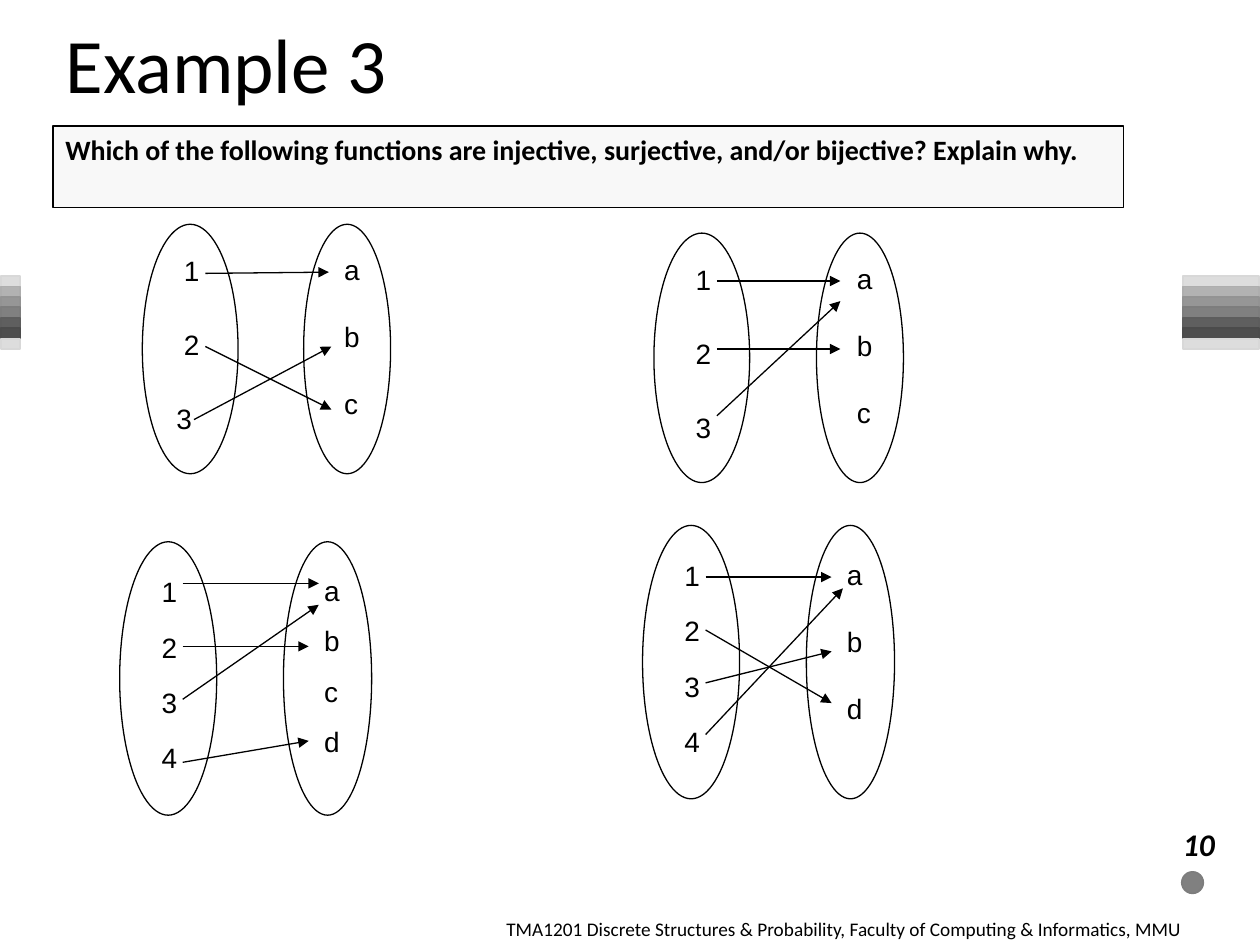
from lxml import etree
from pptx import Presentation
from pptx.dml.color import RGBColor
from pptx.enum import shapes, text
from pptx.oxml import ns
from pptx.util import Inches, Pt

BLACK = RGBColor(0x00, 0x00, 0x00)
WHITE = RGBColor(0xFF, 0xFF, 0xFF)
PANEL = RGBColor(0xF8, 0xF8, 0xF8)
MID_GREY = RGBColor(0x80, 0x80, 0x80)
PALE_GREY = RGBColor(0xDD, 0xDD, 0xDD)
BAND_GREYS = (
    PALE_GREY,
    RGBColor(0xB2, 0xB2, 0xB2),
    RGBColor(0x96, 0x96, 0x96),
    MID_GREY,
    RGBColor(0x5F, 0x5F, 0x5F),
    RGBColor(0x4D, 0x4D, 0x4D),
    PALE_GREY,
)
RECT = shapes.MSO_SHAPE.RECTANGLE
OVAL = shapes.MSO_SHAPE.OVAL
LEFT, RIGHT = text.PP_ALIGN.LEFT, text.PP_ALIGN.RIGHT
TOP, MIDDLE = text.MSO_ANCHOR.TOP, text.MSO_ANCHOR.MIDDLE

FUNCTIONS = (
    dict(top=1.78, height=1.98, domain=(1.13, 0.76, "123", 3),
         codomain=(2.41, 0.69, "abc", 3), outdented="3",
         arrows=((1.63, 2.17, 2.61, 2.16), (1.63, 2.75, 2.63, 3.25),
                 (1.54, 3.33, 2.63, 2.75))),
    dict(top=1.85, height=1.98, domain=(5.19, 0.76, "123", 3),
         codomain=(6.48, 0.69, "abc", 3),
         arrows=((5.69, 2.23, 6.67, 2.23), (5.69, 2.77, 6.67, 2.77),
                 (5.69, 3.3, 6.67, 2.39))),
    dict(top=4.3, height=2.17, domain=(0.95, 0.77, "1234", 2),
         codomain=(2.25, 0.7, "abcd", 2),
         arrows=((1.45, 4.63, 2.53, 4.63), (1.45, 5.13, 2.45, 5.13),
                 (1.45, 5.55, 2.53, 4.8), (1.45, 6.05, 2.45, 5.88))),
    dict(top=4.17, height=2.17, domain=(5.1, 0.77, "1234", 2),
         codomain=(6.4, 0.7, "abd", 3),
         arrows=((5.6, 4.58, 6.6, 4.58), (5.6, 5, 6.6, 5.58),
                 (5.6, 5.83, 6.69, 4.67), (5.6, 5.42, 6.6, 5.17))),
)


def write(paragraph, words, size=16, font="Calibri", bold=False, italic=False,
          align=LEFT, spacing=None, before=0, indent=0):
    paragraph.alignment = align
    paragraph.space_before = Pt(before)
    if spacing:
        paragraph.line_spacing = spacing
    if indent:
        paragraph._p.get_or_add_pPr().set("marL", str(Inches(indent)))
    run = paragraph.add_run()
    run.text = words
    run.font.size = Pt(size)
    run.font.name = font
    run.font.bold = bold
    run.font.italic = italic
    run.font.color.rgb = BLACK


class FunctionSlide:
    line_width = 0.75
    line_height = 19.2
    domain_spacing = 0.55
    codomain_spacing = 0.5

    def __init__(self, slide):
        self.slide = slide

    def shape(self, kind, box, fill, line=None, width=line_width, parent=None):
        owner = (parent or self.slide).shapes
        item = owner.add_shape(kind, *map(Inches, box))
        item.shadow.inherit = False
        item.fill.solid()
        item.fill.fore_color.rgb = fill
        if line is None:
            item.line.fill.background()
        else:
            item.line.color.rgb = line
            item.line.width = Pt(width)
        return item

    def label(self, item, words, anchor=TOP, **style):
        frame = item.text_frame
        frame.word_wrap = True
        frame.vertical_anchor = anchor
        write(frame.paragraphs[0], words, **style)

    def title(self, words, box):
        heading = self.slide.shapes.title
        heading.left, heading.top, heading.width, heading.height = map(Inches, box)
        self.label(heading, words, anchor=MIDDLE, size=44)

    def textbox(self, words, box, **style):
        self.label(self.slide.shapes.add_textbox(*map(Inches, box)), words, **style)

    def panel(self, words, box, fill, line=None, **style):
        self.label(self.shape(RECT, box, fill, line), words, **style)

    def ornament(self, kind, box, fill):
        edge = RGBColor(*(int(channel * 0.98) for channel in fill))
        self.shape(kind, box, fill, edge, width=1)

    def bands(self, left, width):
        pitch = 0.083
        for row, grey in enumerate(BAND_GREYS):
            self.ornament(RECT, (left, 2.19 + row * pitch, width, pitch), grey)

    def element_set(self, group, box, members, skipped, spacing, outdented=""):
        oval = self.shape(OVAL, box, WHITE, BLACK, parent=group)
        frame = oval.text_frame
        frame.word_wrap = True
        frame.vertical_anchor = TOP
        frame.margin_left = Inches(0.16)
        frame.margin_right = 0
        gap = skipped * self.line_height * spacing
        for number, member in enumerate(members):
            paragraph = frame.add_paragraph() if number else frame.paragraphs[0]
            write(paragraph, member, font="Arial", spacing=spacing,
                  before=gap if number else 0,
                  indent=0 if member in outdented else 0.06)

    def arrow(self, group, ends):
        line = group.shapes.add_connector(
            shapes.MSO_CONNECTOR.STRAIGHT, *map(Inches, ends))
        line.line.color.rgb = BLACK
        line.line.width = Pt(self.line_width)
        etree.SubElement(line.line._get_or_add_ln(), ns.qn("a:tailEnd"), type="triangle")
        etree.SubElement(line._element.spPr, ns.qn("a:effectLst"))

    def mapping(self, top, height, domain, codomain, arrows, outdented=""):
        group = self.slide.shapes.add_group_shape()
        left, width, members, skipped = domain
        self.element_set(group, (left, top, width, height), members, skipped,
                         self.domain_spacing, outdented)
        left, width, members, skipped = codomain
        self.element_set(group, (left, top, width, height), members, skipped,
                         self.codomain_spacing)
        for ends in arrows:
            self.arrow(group, ends)


def main():
    deck = Presentation()
    deck.slide_width, deck.slide_height = Inches(10), Inches(7.5)
    page = FunctionSlide(deck.slides.add_slide(deck.slide_layouts[5]))

    page.bands(0.01, 0.15)
    page.bands(9.39, 0.6)
    page.ornament(OVAL, (9.38, 6.92, 0.17, 0.17), MID_GREY)
    page.textbox("10", (9.25, 6.5, 0.49, 0.4), size=18, bold=True, italic=True,
                 align=RIGHT)
    page.title("Example 3", (0.42, 0.08, 7.33, 0.84))
    page.panel("Which of the following functions are injective, surjective, "
               "and/or bijective? Explain why.",
               (0.42, 1, 8.5, 0.65), PANEL, BLACK, bold=True)
    for function in FUNCTIONS:
        page.mapping(**function)
    page.panel("TMA1201 Discrete Structures & Probability, "
               "Faculty of Computing & Informatics, MMU",
               (3.92, 7.23, 6.08, 0.27), WHITE, size=11)
    deck.save("out.pptx")


if __name__ == "__main__":
    main()
